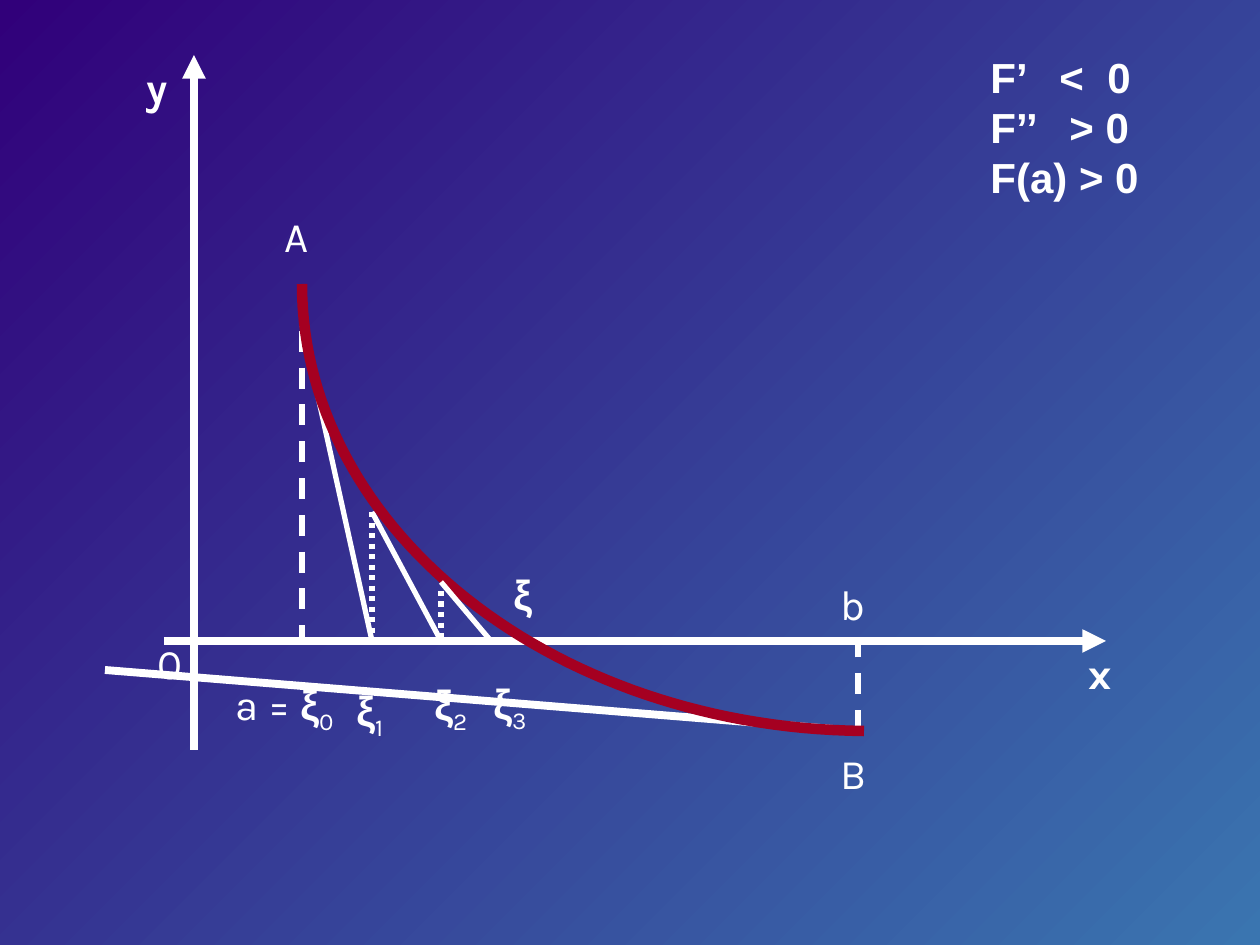
from dataclasses import dataclass

from lxml import etree
from pptx import Presentation
from pptx import util as u
from pptx.dml.color import RGBColor
from pptx.enum import dml, shapes, text
from pptx.oxml.ns import qn

SCALE = u.Inches(1) / 126
AXIS_Y = 641
A_X, B_X, B_Y = 302, 858, 731
XI_1, XI_2, XI_3 = 372, 441, 491
CURVE = ((A_X, 284), (A_X, 529), (553, 728), (864, B_Y))
CURVE_STEPS = 60


@dataclass(frozen=True)
class Theme:
    start: RGBColor = RGBColor(0x31, 0x00, 0x7A)
    end: RGBColor = RGBColor(0x3A, 0x75, 0xB0)
    ink: RGBColor = RGBColor(0xFF, 0xFF, 0xFF)
    curve: RGBColor = RGBColor(0xA5, 0x00, 0x21)
    label: str = "Karla"
    symbol: str = "Arial"
    size: int = 24
    thin: float = 3
    thick: float = 4.5
    heavy: float = 6


THEME = Theme()


def px(value):
    return u.Emu(round(value * SCALE))


def paint_background(page):
    fill = page.background.fill
    fill.gradient()
    fill.gradient_angle = 315
    for stop, color in zip(fill.gradient_stops, (THEME.start, THEME.end)):
        stop.color.rgb = color


def add_line(page, start, end, width=THEME.thin, dash=None, arrow=False):
    line = page.shapes.add_connector(
        shapes.MSO_CONNECTOR.STRAIGHT, *map(px, start + end))
    line.line.color.rgb = THEME.ink
    line.line.width = u.Pt(width)
    if dash:
        line.line.dash_style = dash
    if arrow:
        etree.SubElement(line.line._get_or_add_ln(), qn("a:tailEnd"), type="triangle")
    etree.SubElement(line._element.spPr, qn("a:effectLst"))


def bezier(t):
    weights = ((1 - t) ** 3, 3 * t * (1 - t) ** 2, 3 * t * t * (1 - t), t ** 3)
    return tuple(sum(w * point[axis] for w, point in zip(weights, CURVE))
                 for axis in (0, 1))


def add_curve(page):
    points = [tuple(map(px, bezier(i / CURVE_STEPS))) for i in range(CURVE_STEPS + 1)]
    builder = page.shapes.build_freeform(*points[0])
    builder.add_line_segments(points[1:], close=False)
    curve = builder.convert_to_shape()
    curve.shadow.inherit = False
    curve.fill.background()
    curve.line.color.rgb = THEME.curve
    curve.line.width = u.Pt(THEME.heavy)


def add_box(page, left, top, width, height, wrap=False):
    box = page.shapes.add_textbox(*map(px, (left, top, width, height)))
    frame = box.text_frame
    frame.word_wrap = wrap
    frame.auto_size = text.MSO_AUTO_SIZE.SHAPE_TO_FIT_TEXT
    return frame


def style(font, name, bold=False):
    font.name = name
    font.bold = bold
    font.size = u.Pt(THEME.size)
    font.color.rgb = THEME.ink


def add_label(page, left, top, width, words, name=THEME.label, bold=False, wrap=False):
    para = add_box(page, left, top, width, 63, wrap).paragraphs[0]
    para.add_run().text = words
    style(para.font, name, bold)


def add_xi(page, left, top, width, index, prefix=""):
    para = add_box(page, left, top, width, 71).paragraphs[0]
    parts = ((prefix, THEME.label, False), ("ξ", THEME.symbol, True),
             (index, THEME.label, False))
    for words, name, bold in parts:
        if words:
            span = para.add_run()
            span.text = words
            style(span.font, name, bold)
    span._r.get_or_add_rPr().set("baseline", "-25000")


def add_conditions(page):
    frame = add_box(page, 978, 45, 173, 164)
    rows = (("F’\t<\t0", (69, 117)), ("F’’\t> 0", (79,)), ("F(a) > 0", ()))
    for number, (words, stops) in enumerate(rows):
        para = frame.add_paragraph() if number else frame.paragraphs[0]
        para.add_run().text = words
        if stops:
            tabs = etree.SubElement(para._p.get_or_add_pPr(), qn("a:tabLst"))
            for stop in stops:
                etree.SubElement(tabs, qn("a:tab"), pos=str(px(stop)), algn="l")
        style(para.font, THEME.symbol, True)


def main():
    deck = Presentation()
    deck.slide_width, deck.slide_height = px(1260), px(945)
    page = deck.slides.add_slide(deck.slide_layouts[6])
    paint_background(page)

    dash, dots = dml.MSO_LINE.DASH, dml.MSO_LINE.ROUND_DOT
    add_line(page, (B_X, B_Y), (105, 670), THEME.thick)
    add_line(page, (XI_1, 512), (XI_2, AXIS_Y))
    add_line(page, (A_X, 324), (XI_1, AXIS_Y))
    for x, y, pattern in ((B_X, B_Y, dash), (XI_2, 591, dots),
                          (XI_1, 512, dots), (A_X, 294, dash)):
        add_line(page, (x, y), (x, AXIS_Y), dash=pattern)
    add_line(page, (194, 750), (194, 55), THEME.thick, arrow=True)
    add_line(page, (164, AXIS_Y), (1106, AXIS_Y), THEME.thick, arrow=True)
    add_curve(page)
    add_line(page, (XI_2, 582), (XI_3, AXIS_Y))

    add_label(page, 134, 55, 79, "y", bold=True, wrap=True)
    add_label(page, 1076, AXIS_Y, 79, "x", bold=True, wrap=True)
    add_label(page, 145, 631, 49, "0")
    add_label(page, 828, 572, 50, "b")
    add_label(page, 272, 204, 59, "A", wrap=True)
    add_label(page, 828, 741, 59, "B", wrap=True)
    add_label(page, 501, 562, 54, "ξ", THEME.symbol, bold=True)
    add_xi(page, 223, 672, 137, "0", "a = ")
    for left, top, index in ((344, 678, "1"), (422, 672, "2"), (481, 671, "3")):
        add_xi(page, left, top, 68, index)
    add_conditions(page)
    deck.save("out.pptx")


if __name__ == "__main__":
    main()
